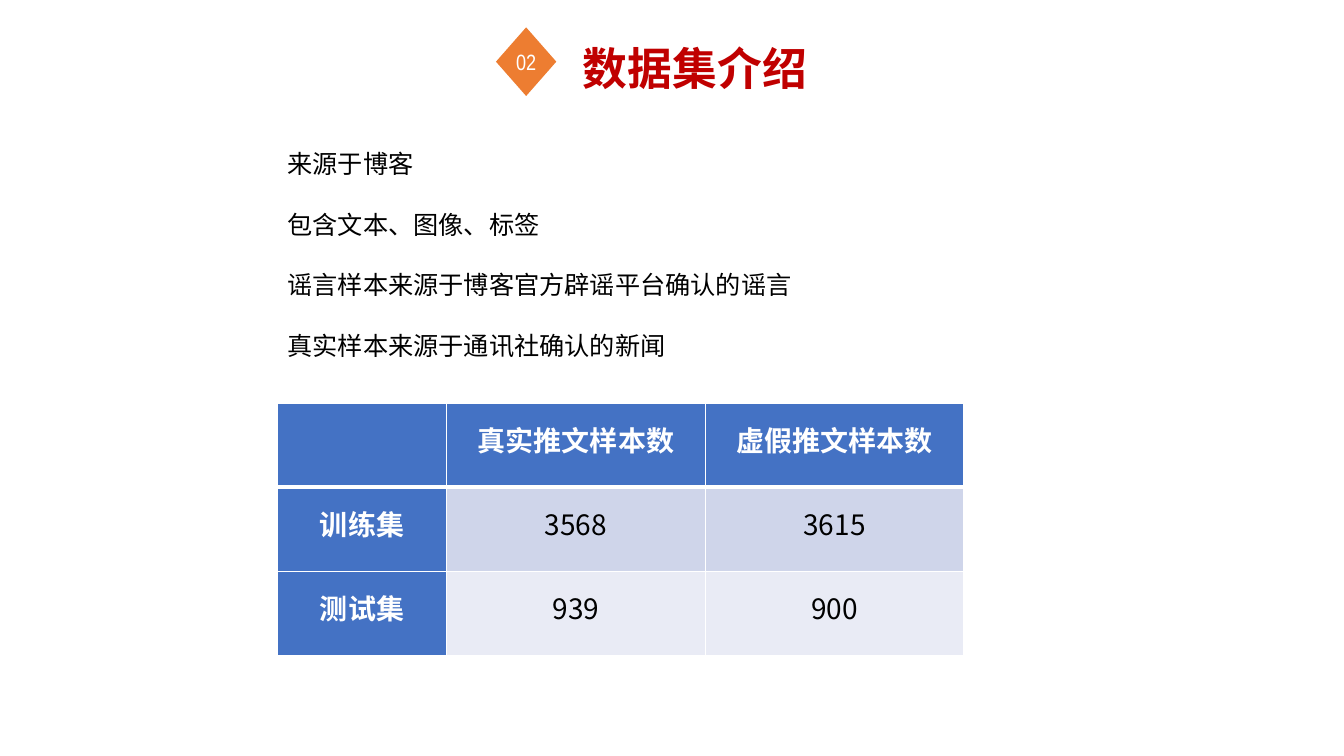
from lxml import etree
from pptx import Presentation
from pptx.dml.color import RGBColor
from pptx.enum.shapes import MSO_SHAPE
from pptx.enum.text import MSO_ANCHOR, MSO_AUTO_SIZE, PP_ALIGN
from pptx.oxml.ns import qn
from pptx.util import Cm, Pt

CENTER, LEFT = PP_ALIGN.CENTER, PP_ALIGN.LEFT
TOP, MIDDLE = MSO_ANCHOR.TOP, MSO_ANCHOR.MIDDLE
NO_AUTOFIT = MSO_AUTO_SIZE.NONE
DIAMOND = MSO_SHAPE.DIAMOND

CJK_FONT = "Noto Sans CJK SC"
WHITE, BLACK = "FFFFFF", "000000"
RED, ORANGE, BLUE = "C00000", "ED7D31", "4472C4"
BAND_FILLS = ["CFD5EA", "E9EBF5"]

FACTS = [
    "来源于博客",
    "包含文本、图像、标签",
    "谣言样本来源于博客官方辟谣平台确认的谣言",
    "真实样本来源于通讯社确认的新闻",
]
SAMPLE_COUNTS = [
    ["", "真实推文样本数", "虚假推文样本数"],
    ["训练集", "3568", "3615"],
    ["测试集", "939", "900"],
]


def rgb(hex_color):
    return RGBColor.from_string(hex_color)


def add_run(paragraph, text, size, color, bold=False, font=CJK_FONT):
    run = paragraph.add_run()
    run.text = text
    run.font.size = Pt(size)
    run.font.bold = bold
    run.font.color.rgb = rgb(color)
    run.font.name = font
    latin = run.font._element.find(qn("a:latin"))
    east_asian = etree.Element(qn("a:ea"), typeface=font)
    latin.addnext(east_asian)


def place(shape, left, top, width, height):
    shape.left, shape.top = Cm(left), Cm(top)
    shape.width, shape.height = Cm(width), Cm(height)


def prepare_frame(frame):
    frame.word_wrap = True
    frame.auto_size = NO_AUTOFIT
    frame.vertical_anchor = TOP


def add_heading(slide, left, top, width, height):
    """Numbered diamond at the left of the box, slide title at the right."""
    badge_width = 1.52
    badge = slide.shapes.add_shape(
        DIAMOND, Cm(left), Cm(top), Cm(badge_width), Cm(height))
    badge.shadow.inherit = False
    badge.fill.solid()
    badge.fill.fore_color.rgb = rgb(ORANGE)
    badge.line.fill.background()
    badge.text_frame.word_wrap = False
    badge.text_frame.vertical_anchor = MIDDLE
    number = badge.text_frame.paragraphs[0]
    number.alignment = CENTER
    add_run(number, "02", 15.8, WHITE, font="Arial Narrow")

    title = slide.shapes.title
    title_left = left + badge_width + 0.28
    place(title, title_left, top + 0.2, left + width - title_left, 1.63)
    prepare_frame(title.text_frame)
    heading = title.text_frame.paragraphs[0]
    heading.alignment = CENTER
    heading.line_spacing = Pt(39)
    add_run(heading, "数据集介绍", 32, RED, bold=True)


def add_facts(slide, left, top, width, height):
    body = slide.placeholders[1]
    place(body, left, top, width, height)
    frame = body.text_frame
    prepare_frame(frame)
    for index, fact in enumerate(FACTS):
        paragraph = frame.add_paragraph() if index else frame.paragraphs[0]
        paragraph.alignment = LEFT
        paragraph.line_spacing = Pt(21.6)
        paragraph.space_before = Pt(21.6 if index else 0)
        paragraph.space_after = Pt(0)
        properties = paragraph._p.get_or_add_pPr()
        properties.set("marL", "0")
        properties.set("indent", "0")
        etree.SubElement(properties, qn("a:buNone"))
        add_run(paragraph, fact, 18, BLACK)


def set_borders(cell, widths):
    """Draw white borders; widths maps a side tag to points."""
    properties = cell._tc.get_or_add_tcPr()
    for position, (side, width) in enumerate(widths.items()):
        line = etree.Element(qn(f"a:{side}"), w=str(Pt(width)))
        fill = etree.SubElement(line, qn("a:solidFill"))
        etree.SubElement(fill, qn("a:srgbClr"), val=WHITE)
        properties.insert(position, line)


def add_counts_table(slide, left, top, width, height):
    rows, columns = len(SAMPLE_COUNTS), len(SAMPLE_COUNTS[0])
    table = slide.shapes.add_table(
        rows, columns, Cm(left), Cm(top), Cm(width), Cm(height)).table
    label_width = 4.27
    table.columns[0].width = Cm(label_width)
    for column in range(1, columns):
        table.columns[column].width = Cm((width - label_width) / (columns - 1))

    for r, counts in enumerate(SAMPLE_COUNTS):
        for c, text in enumerate(counts):
            cell = table.cell(r, c)
            is_header = r == 0 or c == 0
            cell.fill.solid()
            cell.fill.fore_color.rgb = rgb(BLUE if is_header else BAND_FILLS[r - 1])
            set_borders(cell, {"lnL": 1, "lnR": 1,
                               "lnT": 3 if r == 1 else 1,
                               "lnB": 3 if r == 0 else 1})
            cell.vertical_anchor = MIDDLE
            cell.margin_left = cell.margin_right = Cm(0.18)
            cell.margin_top = cell.margin_bottom = 0
            if text:
                paragraph = cell.text_frame.paragraphs[0]
                paragraph.alignment = CENTER
                paragraph.line_spacing = Pt(20)
                add_run(paragraph, text, 20, WHITE if is_header else BLACK, is_header)


def main():
    presentation = Presentation()
    presentation.slide_width, presentation.slide_height = Cm(33.87), Cm(19.05)
    slide = presentation.slides.add_slide(presentation.slide_layouts[1])
    add_heading(slide, 12.5, 0.69, 8.23, 1.73)
    add_facts(slide, 6.99, 3.62, 20.96, 5.64)
    add_counts_table(slide, 6.99, 10.16, 17.3, 6.35)
    presentation.save("out.pptx")


if __name__ == "__main__":
    main()
